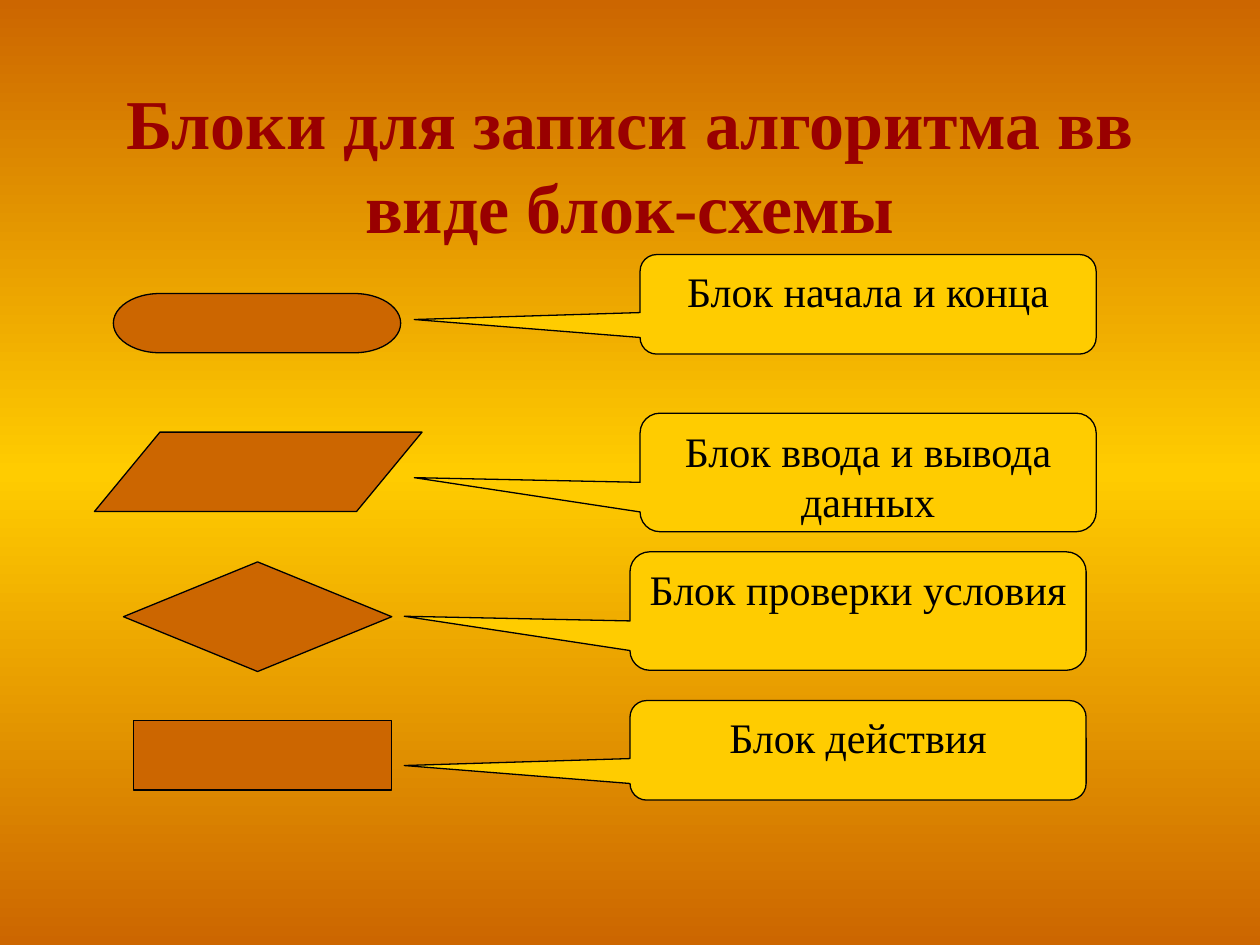
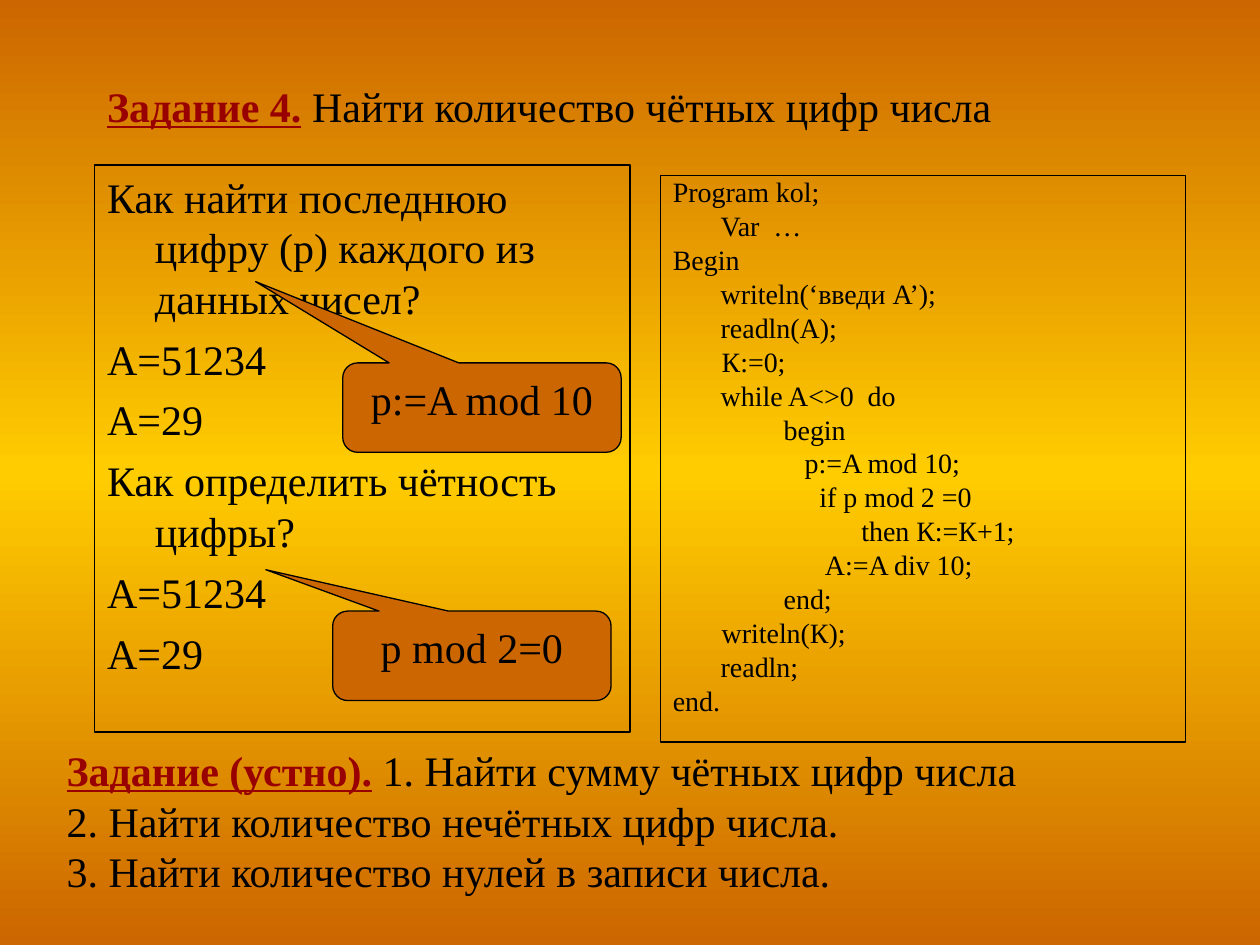
from copy import deepcopy
from dataclasses import dataclass
from typing import Optional

from lxml import etree
from pptx import Presentation
from pptx.dml.color import RGBColor
from pptx.enum.shapes import MSO_SHAPE
from pptx.enum.text import MSO_ANCHOR, MSO_AUTO_SIZE, PP_ALIGN
from pptx.oxml.ns import qn
from pptx.util import Inches, Pt

TERMINATOR = MSO_SHAPE.FLOWCHART_TERMINATOR
INPUT_OUTPUT = MSO_SHAPE.FLOWCHART_DATA
DECISION = MSO_SHAPE.FLOWCHART_DECISION
PROCESS = MSO_SHAPE.FLOWCHART_PROCESS
CALLOUT = MSO_SHAPE.ROUNDED_RECTANGULAR_CALLOUT
LEFT, CENTER = PP_ALIGN.LEFT, PP_ALIGN.CENTER
TOP, MIDDLE = MSO_ANCHOR.TOP, MSO_ANCHOR.MIDDLE
NO_AUTOFIT = MSO_AUTO_SIZE.NONE
TITLE_ONLY_LAYOUT, TWO_CONTENT_LAYOUT = 5, 3
CELL = Inches(0.1)


@dataclass(frozen=True)
class Theme:
    font: str = "Times New Roman"
    orange: RGBColor = RGBColor(0xCC, 0x66, 0x00)
    yellow: RGBColor = RGBColor(0xFF, 0xCC, 0x00)
    heading: RGBColor = RGBColor(0x99, 0x00, 0x00)
    ink: RGBColor = RGBColor(0x00, 0x00, 0x00)
    title_size: int = 40
    text_size: int = 24
    code_size: int = 16
    line_width: float = 0.75
    hanging: float = 0.38


THEME = Theme()


@dataclass(frozen=True)
class Box:
    column: float
    row: float
    columns: float
    rows: float

    def place(self, shape) -> None:
        shape.left, shape.top, shape.width, shape.height = self.lengths()

    def lengths(self) -> list[int]:
        cells = (self.column, self.row, self.columns, self.rows)
        return [round(count * CELL) for count in cells]


@dataclass(frozen=True)
class Callout:
    text: str
    box: Box
    tip: tuple[float, float]


@dataclass(frozen=True)
class Block:
    kind: int
    box: Box
    callout: Callout


HIGH_TIP, LOW_TIP = (-0.995, 0.153), (-0.995, 0.044)
BLOCKS = [
    Block(TERMINATOR, Box(9, 23.3, 22.8, 4.7),
          Callout("Блок начала и конца", Box(50.8, 20.2, 36.2, 7.9), HIGH_TIP)),
    Block(INPUT_OUTPUT, Box(7.5, 34.3, 26, 6.3),
          Callout("Блок ввода и вывода данных", Box(50.8, 32.8, 36.2, 9.4), LOW_TIP)),
    Block(DECISION, Box(9.8, 44.6, 21.3, 8.7),
          Callout("Блок проверки условия", Box(50, 43.8, 36.2, 9.4), LOW_TIP)),
    Block(PROCESS, Box(10.6, 57.2, 20.5, 5.5),
          Callout("Блок действия", Box(50, 55.6, 36.2, 7.9), HIGH_TIP)),
]
HINTS = [
    Callout("p:=A mod 10", Box(27.2, 28.8, 22.1, 7.1), (-0.813, -1.409)),
    Callout("р mod 2=0", Box(26.4, 48.5, 22.1, 7.1), (-0.74, -0.963)),
]
QUESTIONS = [
    "Как найти последнюю цифру (р) каждого из данных чисел?",
    "А=51234",
    "А=29",
    "Как определить чётность цифры?",
    "А=51234",
    "А=29",
]
PROGRAM = [
    "Program kol;",
    "\tVar  …",
    "Begin",
    "\twriteln(‘введи A’);",
    "\treadln(A);",
    "       К:=0;",
    "\twhile A<>0  do",
    "\t\tbegin",
    "\t\t   p:=A mod 10;",
    "                     if p mod 2 =0",
    "                           then К:=К+1;",
    "                      A:=A div 10;",
    "\t\tend;",
    "       writeln(К);",
    "\treadln;",
    "end.",
]
ORAL_TASKS = "\n".join([
    " 1. Найти сумму чётных цифр числа",
    "2. Найти количество нечётных цифр числа.",
    "3. Найти количество нулей в записи числа.",
])


def add_text(paragraph, text: str, size: int = THEME.text_size,
             color: RGBColor = THEME.ink, bold: bool = False,
             underline: bool = False) -> None:
    for number, line in enumerate(text.split("\n")):
        if number:
            paragraph.add_line_break()
        run = paragraph.add_run()
        run.text = line
        font = run.font
        font.name, font.size = THEME.font, Pt(size)
        font.bold, font.underline = bold, underline
        font.color.rgb = color


def prepare_frame(shape, anchor: int, alignment: int):
    frame = shape.text_frame
    frame.word_wrap = True
    frame.auto_size = NO_AUTOFIT
    frame.vertical_anchor = anchor
    paragraph = frame.paragraphs[0]
    paragraph.alignment = alignment
    return paragraph


def add_task(shape, box: Box, heading: str, text: str) -> None:
    box.place(shape)
    paragraph = prepare_frame(shape, MIDDLE, LEFT)
    add_text(paragraph, heading, color=THEME.heading, bold=True, underline=True)
    add_text(paragraph, text)


def outline(shape) -> None:
    shape.line.color.rgb = THEME.ink
    shape.line.width = Pt(THEME.line_width)


def add_filled_shape(slide, kind: int, box: Box, fill: RGBColor):
    shape = slide.shapes.add_shape(kind, *box.lengths())
    shape.shadow.inherit = False
    shape.fill.solid()
    shape.fill.fore_color.rgb = fill
    outline(shape)
    return shape


def add_callout(slide, callout: Callout, fill: RGBColor) -> None:
    shape = add_filled_shape(slide, CALLOUT, callout.box, fill)
    for index, value in enumerate((*callout.tip, 0.167)):
        shape.adjustments[index] = value
    add_text(prepare_frame(shape, TOP, CENTER), callout.text)


def set_hanging(paragraph) -> None:
    properties = paragraph._p.get_or_add_pPr()
    properties.set("marL", str(Inches(THEME.hanging)))
    properties.set("indent", str(-Inches(THEME.hanging)))
    etree.SubElement(properties, qn("a:buNone"))
    tabs = etree.SubElement(properties, qn("a:tabLst"))
    for inch in range(8):
        etree.SubElement(tabs, qn("a:tab"), pos=str(Inches(inch)), algn="l")


def fill_list(shape, box: Box, lines: list[str], size: int, gap: int,
              spacing: Optional[float] = None) -> None:
    box.place(shape)
    outline(shape)
    first = prepare_frame(shape, TOP, LEFT)
    for number, line in enumerate(lines):
        paragraph = shape.text_frame.add_paragraph() if number else first
        set_hanging(paragraph)
        paragraph.alignment = LEFT
        paragraph.space_before = Pt(gap if number else 0)
        paragraph.line_spacing = spacing
        add_text(paragraph, line, size=size)


def set_background(master) -> None:
    fill = master.background.fill
    fill.gradient()
    fill.gradient_angle = 270
    stop_list = next(master.element.iter(qn("a:gsLst")))
    stop_list.append(deepcopy(stop_list[0]))
    colors = (THEME.orange, THEME.yellow, THEME.orange)
    for index, (stop, color) in enumerate(zip(fill.gradient_stops, colors)):
        stop.position = index / 2
        stop.color.rgb = color


def build_blocks_slide(presentation) -> None:
    slide = presentation.slides.add_slide(presentation.slide_layouts[TITLE_ONLY_LAYOUT])
    title = slide.shapes.title
    Box(7.5, 6.7, 85, 12.5).place(title)
    add_text(prepare_frame(title, MIDDLE, CENTER),
             "Блоки для записи алгоритма вв виде блок-схемы",
             size=THEME.title_size, color=THEME.heading, bold=True)
    for block in BLOCKS:
        add_filled_shape(slide, block.kind, block.box, THEME.orange)
        add_callout(slide, block.callout, THEME.yellow)


def build_task_slide(presentation) -> None:
    slide = presentation.slides.add_slide(presentation.slide_layouts[TWO_CONTENT_LAYOUT])
    add_task(slide.shapes.title, Box(7.5, 3.6, 85, 9.6),
             "Задание 4.", " Найти количество чётных цифр числа")
    questions, program = slide.placeholders[1], slide.placeholders[2]
    fill_list(questions, Box(7.5, 13.1, 42.5, 45), QUESTIONS, THEME.text_size, gap=6)
    fill_list(program, Box(52.4, 13.9, 41.7, 45), PROGRAM, THEME.code_size,
              gap=4, spacing=0.8)
    for hint in HINTS:
        add_callout(slide, hint, THEME.orange)
    oral_box = Box(4.3, 60.3, 92.1, 9.6)
    add_task(slide.shapes.add_textbox(*oral_box.lengths()), oral_box,
             "Задание (устно).", ORAL_TASKS)


def main() -> None:
    presentation = Presentation()
    presentation.slide_width, presentation.slide_height = 100 * CELL, 75 * CELL
    set_background(presentation.slide_master)
    build_blocks_slide(presentation)
    build_task_slide(presentation)
    presentation.save("out.pptx")


if __name__ == "__main__":
    main()
